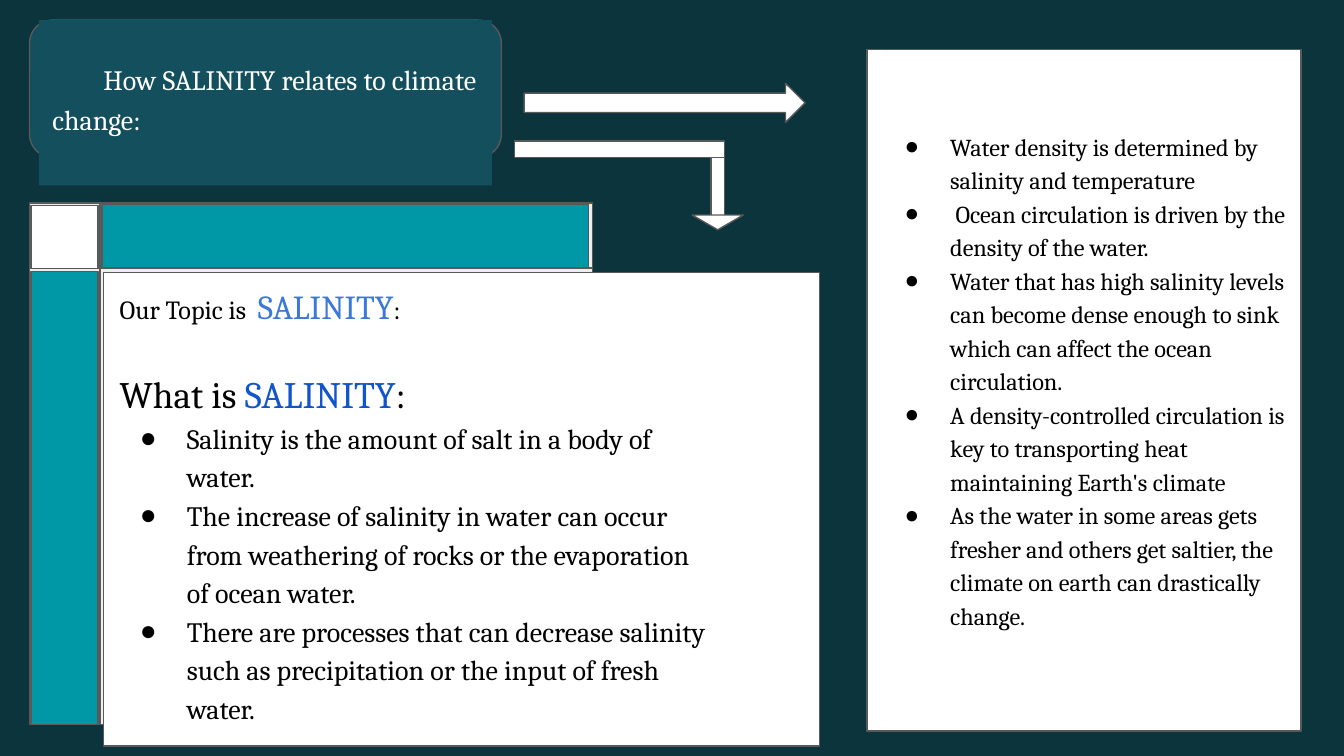
"""Build a slide on salinity and how it relates to climate change."""
from lxml.etree import SubElement
from pptx import Presentation
from pptx.dml.color import RGBColor
from pptx.enum.shapes import MSO_SHAPE as Shape
from pptx.enum.text import MSO_ANCHOR, MSO_AUTO_SIZE, PP_ALIGN
from pptx.oxml.ns import qn
from pptx.util import Inches, Pt

COLORS = {
    "background": "0C343D", "banner": "134F5C", "teal": "0097A7",
    "white": "FFFFFF", "gray": "EEEEEE", "outline": "595959",
    "black": "000000", "topic": "3C78D8", "question": "1155CC",
}
FONT = "Cambria"

SHAPES = [
    (Shape.ROUNDED_RECTANGLE, 0.22, 0.15, 3.51, 1.02, "banner", 0),
    (Shape.FLOWCHART_INTERNAL_STORAGE, 0.22, 1.51, 4.19, 3.88, "gray", 0),
    (Shape.RECTANGLE, 0.76, 1.52, 3.62, 0.47, "teal", 0),
    (Shape.RECTANGLE, 0.23, 2.02, 0.5, 3.37, "teal", 0),
    (Shape.RECTANGLE, 0.23, 1.53, 0.5, 0.47, "white", 0),
    (Shape.RECTANGLE, 0.77, 2.03, 5.33, 3.52, "white", 0),
    (Shape.RECTANGLE, 6.45, 0.37, 3.23, 5.07, "white", 0),
    (Shape.RIGHT_ARROW, 3.9, 0.62, 2.09, 0.29, "white", 0),
    (Shape.RECTANGLE, 5.29, 1.08, 0.1, 0.53, "white", 0),
    (Shape.ISOSCELES_TRIANGLE, 5.15, 1.6, 0.38, 0.11, "white", 180),
    (Shape.RECTANGLE, 3.83, 1.05, 1.56, 0.12, "white", 0),
]
HEADINGS = [
    (0, [("Our Topic is  ", 14, "black"), ("SALINITY", 18, "topic"), (":", 14, "black")]),
    (24, [("What is ", 20, "black"), ("SALINITY", 20, "question"), (":", 20, "black")]),
]
SALINITY_POINTS = [
    "Salinity is the amount of salt in a body of water.",
    "The increase of salinity in water can occur from weathering of rocks or the evaporation of ocean water.",
    "There are processes that can decrease salinity such as precipitation or the input of fresh water.",
]
CLIMATE_POINTS = [
    "Water density is determined by salinity and temperature",
    " Ocean circulation is driven by the density of the water.",
    "Water that has high salinity levels can become dense enough to sink which can affect the ocean circulation.",
    "A density-controlled circulation is key to transporting heat maintaining Earth's climate",
    "As the water in some areas gets fresher and others get saltier, the climate on earth can drastically change.",
]


def place_text(box, left, top, width, height):
    box.left, box.top, box.width, box.height = map(Inches, (left, top, width, height))
    page.shapes.element.append(box.element)
    frame = box.text_frame
    frame.word_wrap = True
    frame.auto_size = MSO_AUTO_SIZE.NONE
    frame.vertical_anchor = MSO_ANCHOR.TOP
    frame.margin_left = frame.margin_right = Inches(0.1)
    frame.margin_top = frame.margin_bottom = Inches(0.1)
    return frame


def format_para(para, size, color, margin=0, indent=0, bullet=None):
    para.alignment = PP_ALIGN.LEFT
    if para.space_before is None:
        para.space_before = Pt(0)
    props = para._p.get_or_add_pPr()
    props.set("marL", str(Inches(margin)))
    props.set("indent", str(Inches(indent)))
    if bullet:
        bullet_color = SubElement(props, qn("a:buClr"))
        SubElement(bullet_color, qn("a:srgbClr"), val=COLORS[color])
        SubElement(props, qn("a:buChar"), char=bullet)
    else:
        SubElement(props, qn("a:buNone"))
    para.font.name = FONT
    para.font.size = Pt(size)
    para.font.color.rgb = RGBColor.from_string(COLORS[color])


deck = Presentation()
deck.slide_width = Inches(10)
deck.slide_height = Inches(10 * 9 / 16)
page = deck.slides.add_slide(deck.slide_layouts[3])
page.background.fill.solid()
page.background.fill.fore_color.rgb = RGBColor.from_string(COLORS["background"])

for kind, left, top, width, height, color, rotation in SHAPES:
    shape = page.shapes.add_shape(kind, *map(Inches, (left, top, width, height)))
    shape.rotation = rotation
    shape.shadow.inherit = False
    shape.fill.solid()
    shape.fill.fore_color.rgb = RGBColor.from_string(COLORS[color])
    shape.line.color.rgb = RGBColor.from_string(COLORS["outline"])
    shape.line.width = Pt(0.75)

title, salinity, climate = page.placeholders

title.fill.solid()
title.fill.fore_color.rgb = RGBColor.from_string(COLORS["banner"])
frame = place_text(title, 0.29, 0.15, 3.37, 1.23)
frame.margin_top = Inches(0.27)
frame.text = "How SALINITY relates to climate change:"
frame.paragraphs[0].line_spacing = 1.19
format_para(frame.paragraphs[0], 15, "white", indent=0.38)

frame = place_text(salinity, 0.79, 2.03, 4.6, 3.77)
frame.text = "\n".join([""] * len(HEADINGS) + SALINITY_POINTS)
for para, (gap, spans) in zip(frame.paragraphs, HEADINGS):
    para.space_before = Pt(gap)
    format_para(para, spans[0][1], "black")
    for text, size, color in spans:
        span = para.add_run()
        span.text = text
        span.font.size = Pt(size)
        span.font.color.rgb = RGBColor.from_string(COLORS[color])
for para in frame.paragraphs[len(HEADINGS):]:
    para.line_spacing = 1.15
    format_para(para, 15, "black", 0.5, -0.35, "●")

frame = place_text(climate, 6.47, 0.85, 3.21, 5.2)
frame.text = "\n".join(CLIMATE_POINTS)
for para in frame.paragraphs:
    para.line_spacing = 1.15
    format_para(para, 13, "black", 0.5, -0.34, "●")

deck.save("out.pptx")
